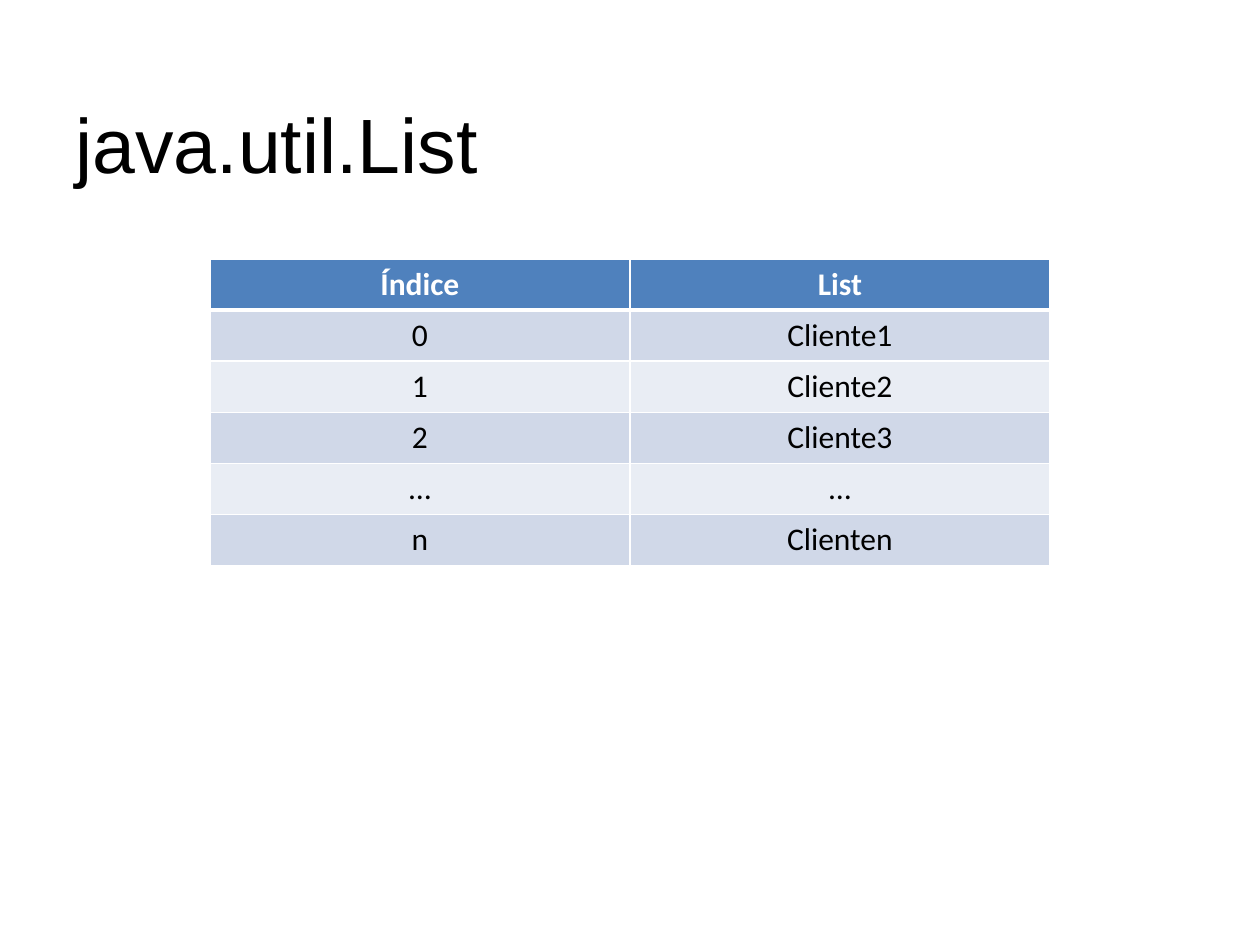
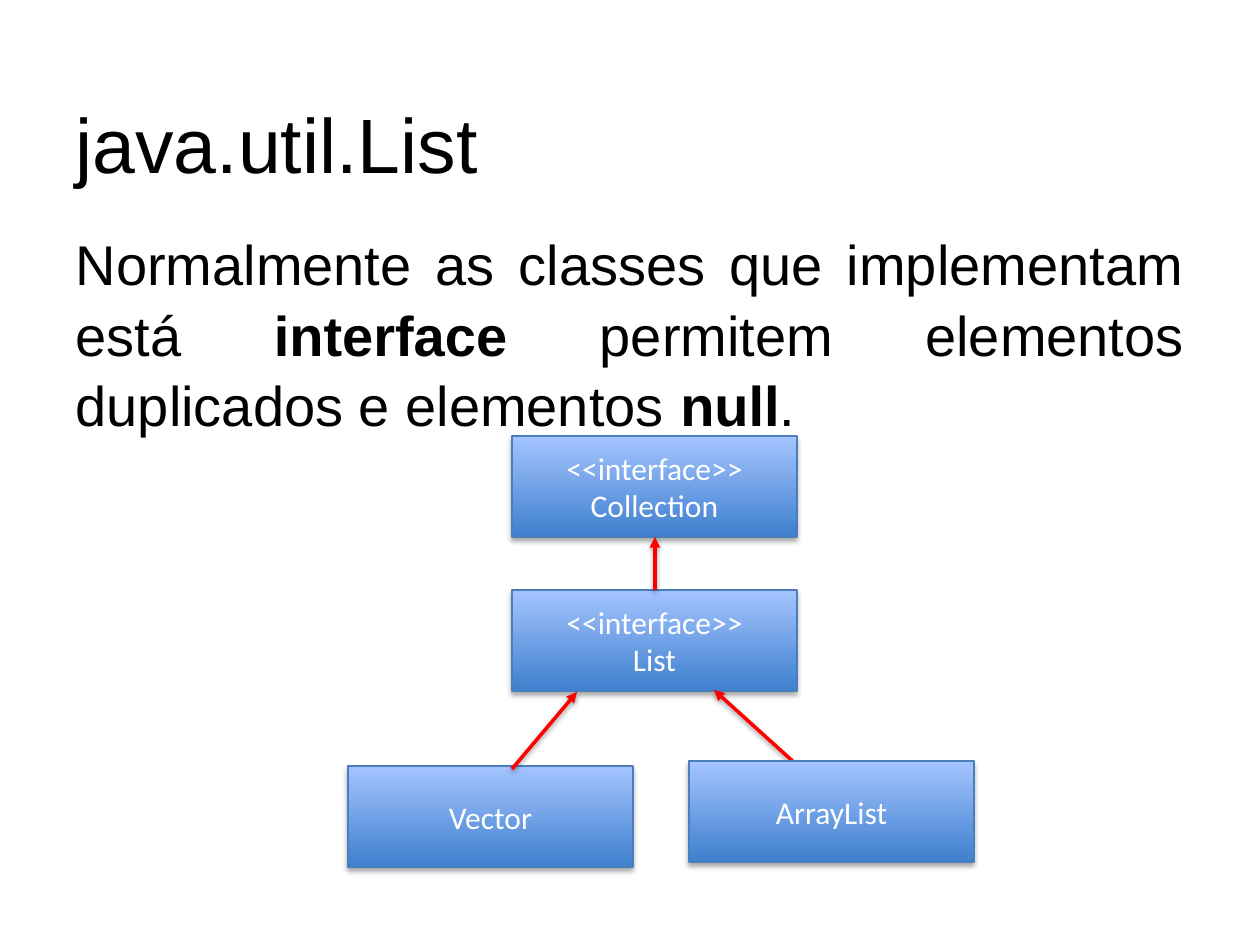
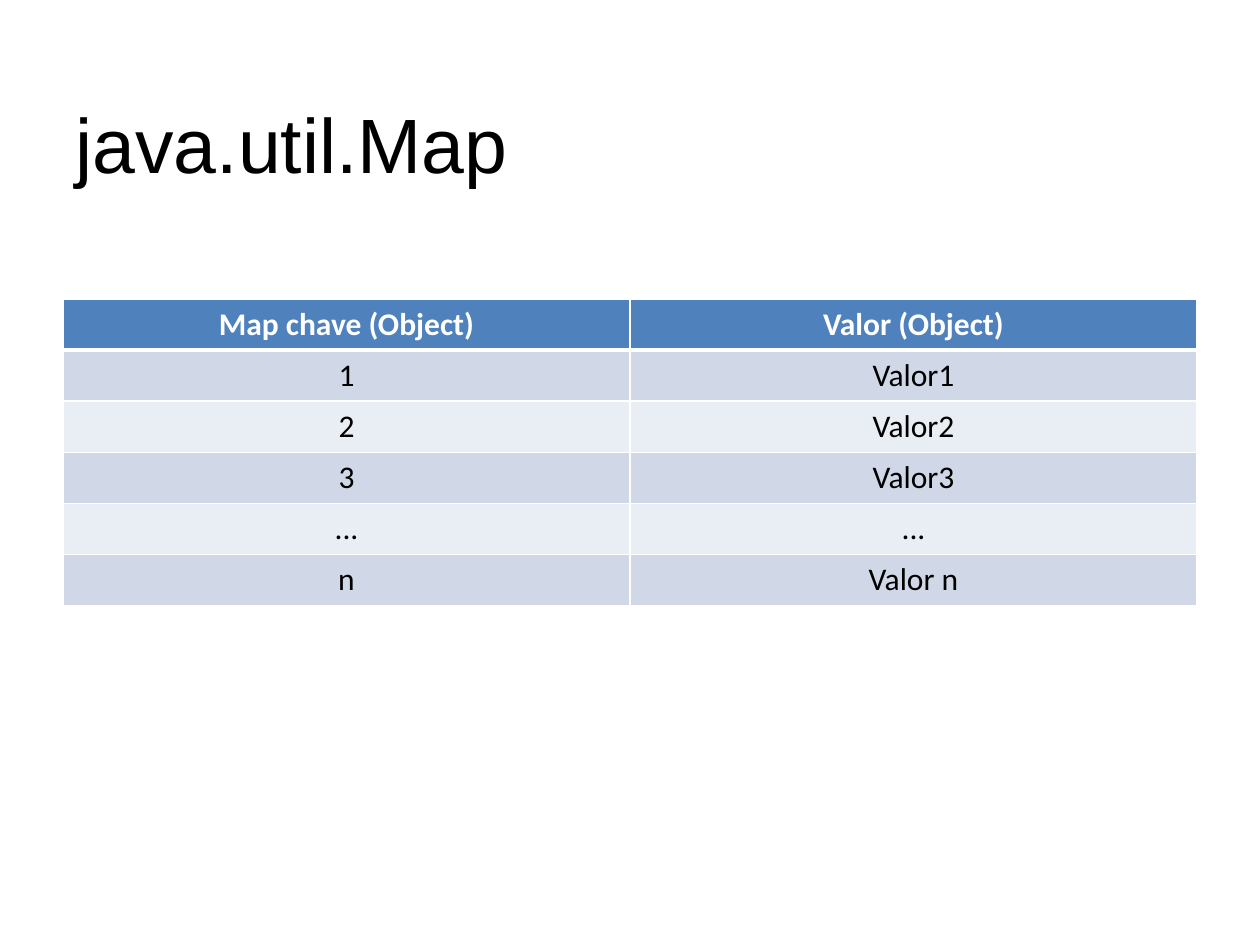
from lxml.etree import SubElement
from pptx import Presentation
from pptx.dml.color import RGBColor
from pptx.enum.shapes import MSO_CONNECTOR, MSO_SHAPE
from pptx.enum.text import MSO_ANCHOR, MSO_AUTO_SIZE, PP_ALIGN
from pptx.oxml.ns import qn
from pptx.util import Emu, Pt

SCALE = 914400 / 126
BLACK, WHITE, RED = "000000", "FFFFFF", "FF0000"
HEADER_FILL, BAND_FILLS = "4F81BD", ("D0D8E8", "E9EDF4")
BOX_BOTTOM, BOX_TOP, BOX_LINE = "3F80CE", "A4C4FF", "4B7EBC"
BOX_WIDTH, BOX_HEIGHT = 285, 101
ROW_HEIGHT = 51


def px(length):
    """Turn picture pixels into EMU."""
    return Emu(round(length * SCALE))


def color(value):
    """Turn a hex string into a colour."""
    return RGBColor.from_string(value)


def place(shape, left, top, width, height):
    """Move and size a shape in pixels."""
    shape.left, shape.top = px(left), px(top)
    shape.width, shape.height = px(width), px(height)


def write(para, text, size=18, font="Calibri", fill=BLACK, bold=False, align=PP_ALIGN.CENTER):
    """Add one formatted span to a paragraph."""
    para.alignment = align
    span = para.add_run()
    span.text = text
    span.font.size, span.font.name, span.font.bold = Pt(size), font, bold
    span.font.color.rgb = color(fill)


def add_slide(deck, layout, title, width=1134):
    """Add a slide with its title at the shared place."""
    slide = deck.slides.add_slide(deck.slide_layouts.get_by_name(layout))
    box = slide.shapes.title
    place(box, 63, 38, width, 157)
    box.text_frame.auto_size = MSO_AUTO_SIZE.NONE
    box.text_frame.vertical_anchor = MSO_ANCHOR.BOTTOM
    write(box.text_frame.paragraphs[0], title, size=44, font="Arial", align=PP_ALIGN.LEFT)
    return slide


def add_body(slide, spans):
    """Fill the body placeholder with one justified paragraph of (text, bold) spans."""
    box = slide.placeholders[1]
    place(box, 63, 220, 1134, 624)
    box.text_frame.auto_size = MSO_AUTO_SIZE.NONE
    para = box.text_frame.paragraphs[0]
    para.line_spacing, para.space_before, para.space_after = 1.05, Pt(0), Pt(18)
    properties = para._p.get_or_add_pPr()
    properties.set("marL", "0")
    properties.set("indent", "0")
    SubElement(properties, qn("a:buNone"))
    for text, bold in spans:
        write(para, text, size=32, font="Arial", bold=bold, align=PP_ALIGN.JUSTIFY)


def add_border(cell, side, width):
    """Draw one white edge of a table cell."""
    edge = SubElement(cell._tc.get_or_add_tcPr(), qn(f"a:ln{side}"), w=str(Pt(width)))
    SubElement(SubElement(edge, qn("a:solidFill")), qn("a:srgbClr"), val=WHITE)


def add_banded_table(slide, rows, left, top, width):
    """Add a table with a header row and alternating bands."""
    frame = slide.shapes.add_table(
        len(rows), len(rows[0]), px(left), px(top), px(width), px(ROW_HEIGHT * len(rows)))
    for row_index, texts in enumerate(rows):
        header = row_index == 0
        for column_index, text in enumerate(texts):
            cell = frame.table.cell(row_index, column_index)
            for side in "LRTB":
                heavy = (header and side == "B") or (row_index == 1 and side == "T")
                add_border(cell, side, 3 if heavy else 1)
            cell.fill.solid()
            cell.fill.fore_color.rgb = color(HEADER_FILL if header else BAND_FILLS[(row_index - 1) % 2])
            write(cell.text_frame.paragraphs[0], text, fill=WHITE if header else BLACK, bold=header)


def add_shadow(effects, distance, opacity):
    """Put a soft black shadow below a shape."""
    shadow = SubElement(effects, qn("a:outerShdw"), blurRad=str(Pt(3.1)),
                        dist=str(Pt(distance)), dir="5400000", rotWithShape="0")
    shade = SubElement(shadow, qn("a:srgbClr"), val=BLACK)
    SubElement(shade, qn("a:alpha"), val=str(opacity * 1000))


def add_class_box(slide, lines, left, top):
    """Add a gradient box that names a class or interface."""
    box = slide.shapes.add_shape(
        MSO_SHAPE.RECTANGLE, px(left), px(top), px(BOX_WIDTH), px(BOX_HEIGHT))
    box.fill.gradient()
    box.fill.gradient_angle = 90
    for stop, value, position in zip(box.fill.gradient_stops, (BOX_BOTTOM, BOX_TOP), (0, 1)):
        stop.color.rgb = color(value)
        stop.position = position
    box.line.color.rgb = color(BOX_LINE)
    box.line.width = Pt(0.75)
    box.shadow.inherit = False
    add_shadow(box._element.spPr.find(qn("a:effectLst")), 1.8, 35)
    frame = box.text_frame
    frame.word_wrap = True
    frame.vertical_anchor = MSO_ANCHOR.MIDDLE
    for index, line in enumerate(lines):
        write(frame.add_paragraph() if index else frame.paragraphs[0], line, fill=WHITE)


def add_arrow(slide, start, end):
    """Add a red arrow from start to end."""
    arrow = slide.shapes.add_connector(MSO_CONNECTOR.STRAIGHT, *map(px, start + end))
    arrow.line.color.rgb = color(RED)
    arrow.line.width = Pt(2)
    SubElement(arrow.line._get_or_add_ln(), qn("a:tailEnd"), type="triangle")
    add_shadow(SubElement(arrow._element.spPr, qn("a:effectLst")), 1.6, 38)


def add_class_diagram(slide):
    """Draw the hierarchy of Collection, List and its classes."""
    add_class_box(slide, ["<<interface>>", "Collection"], 512, 436)
    add_class_box(slide, ["Vector"], 348, 766)
    add_class_box(slide, ["<<interface>>", "List"], 512, 590)
    add_arrow(slide, (655, 590), (655, 537))
    add_arrow(slide, (798, 766), (714, 690))
    add_class_box(slide, ["ArrayList"], 689, 761)
    add_arrow(slide, (512, 769), (577, 692))


def main():
    """Build the three slides and save them."""
    deck = Presentation()
    deck.slide_width, deck.slide_height = px(1260), px(945)

    slide = add_slide(deck, "Title Only", "java.util.List")
    add_banded_table(slide, [
        ("Índice", "List"), ("0", "Cliente1"), ("1", "Cliente2"),
        ("2", "Cliente3"), ("…", "…"), ("n", "Clienten")], 210, 259, 840)

    slide = add_slide(deck, "Title and Content", "java.util.List")
    add_body(slide, [
        ("Normalmente as classes que implementam está ", False), ("interface", True),
        (" permitem elementos duplicados e elementos ", False), ("null", True), (".", False)])
    add_class_diagram(slide)

    slide = add_slide(deck, "Title Only", "java.util.Map", width=1172)
    add_banded_table(slide, [
        ("Map chave (Object)", "Valor (Object)"), ("1", "Valor1"), ("2", "Valor2"),
        ("3", "Valor3"), ("...", "..."), ("n", "Valor n")], 63, 299, 1134)

    deck.save("out.pptx")


main()
